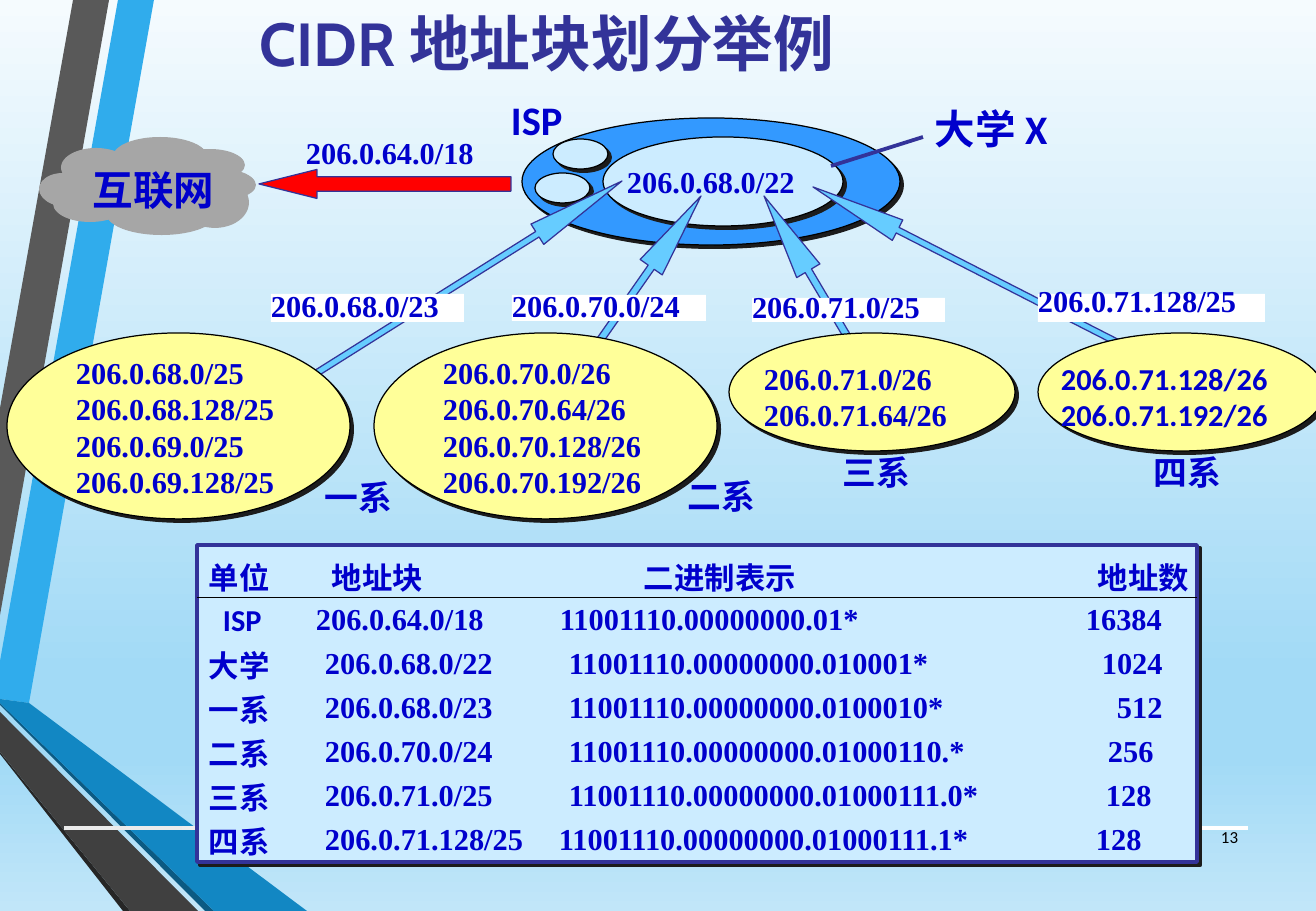
import math
from itertools import pairwise

from pptx import Presentation
from pptx import util as u
from pptx.dml.color import RGBColor
from pptx.enum import shapes, text
from pptx.oxml import parse_xml
from pptx.oxml.ns import nsdecls, qn

PX = 914400 / 121.5
KIND = shapes.MSO_SHAPE
SERIF, SANS = "Times New Roman", "Calibri"

BLACK, WHITE = RGBColor(0, 0, 0), RGBColor(255, 255, 255)
INK = RGBColor(0x00, 0x00, 0xCC)
NAVY = RGBColor(0x33, 0x33, 0x99)
PALE = RGBColor(0xCC, 0xEC, 0xFF)
RING = RGBColor(0x33, 0x99, 0xFF)
SKY = RGBColor(0x66, 0xCC, 0xFF)
YELLOW = RGBColor(0xFF, 0xFF, 0x99)
GREY = RGBColor(0xA6, 0xA6, 0xA6)
RED = RGBColor(0xFF, 0, 0)
SILVER = RGBColor(0xEB, 0xEB, 0xEB)

BACKDROP = [(0, "F5FBFE"), (74, "A2DAF6"), (83, "A2DAF6"), (100, "C1E6F9")]
RIBBONS = [
    ("30ACEC", [(0, 661), (0, 699), (29, 703), (154, 0), (118, 0)]),
    ("595959", [(109, 0), (73, 0), (0, 408), (0, 615)]),
    ("262626", [(0, 752), (0, 754), (123, 911), (130, 911)]),
    ("0C5A82", [(0, 703), (0, 705), (205, 911), (214, 911)]),
    ("1287C3", [(0, 703), (214, 911), (307, 911), (29, 703), (0, 699)]),
    ("404040", [(0, 752), (130, 911), (198, 911), (0, 712)]),
]
CLOUD = [
    (113, 137, 94, 39), (61, 148, 70, 39), (39, 173, 47, 32),
    (53, 187, 72, 34), (106, 193, 109, 41), (176, 149, 68, 30),
    (187, 169, 68, 30), (180, 176, 68, 51), (78, 160, 140, 51),
]
CAMPUS = [
    ((522, 118, 378, 127), RING), ((603, 137, 240, 89), PALE),
    ((535, 173, 55, 30), PALE), ((553, 139, 55, 30), PALE),
]
# Uplinks: foot, tip, thickness, head length
UPLINKS = [
    ((1134, 351), (813, 187), 23, 95), ((296, 386), (622, 181), 24, 100),
    ((538, 429), (701, 196), 27, 87), ((909, 441), (764, 196), 27, 87),
]
# Departments: oval, left and top of the address list, font, addresses
DEPARTMENTS = [
    ((7, 333, 343, 186), (64, 348), SERIF,
     ["206.0.68.0/25", "206.0.68.128/25", "206.0.69.0/25", "206.0.69.128/25"]),
    ((374, 333, 343, 186), (431, 348), SERIF,
     ["206.0.70.0/26", "206.0.70.64/26", "206.0.70.128/26", "206.0.70.192/26"]),
    ((729, 333, 286, 118), (752, 354), SERIF, ["206.0.71.0/26", "206.0.71.64/26"]),
    ((1038, 333, 286, 118), (1049, 354), SANS, ["206.0.71.128/26", "206.0.71.192/26"]),
]
# Uplink labels: text, white box, how far the text sits above its middle
LABELS = [
    ("206.0.68.0/23", (271, 294, 193, 28), 3), ("206.0.70.0/24", (512, 295, 194, 26), 3),
    ("206.0.71.0/25", (752, 298, 193, 24), 4), ("206.0.71.128/25", (1038, 294, 227, 28), 8),
]
# Captions: text, left, top, width, size, font
CAPTIONS = [
    ("互联网", 81, 159, 148, 24, SANS), ("ISP", 499, 89, 90, 24, SANS),
    ("大学 X", 923, 98, 170, 24, SANS),
    ("206.0.68.0/22", 615, 157, 210, 18, SERIF), ("206.0.64.0/18", 294, 128, 210, 18, SERIF),
    ("一系", 313, 471, 110, 20, SANS), ("二系", 676, 470, 110, 20, SANS),
    ("三系", 831, 446, 110, 20, SANS), ("四系", 1142, 446, 110, 20, SANS),
]
# Address table: column edges, then each row with where its texts start
EDGES = (197, 298, 540, 1027, 1197)
TABLE_TOP, HEAD_HEIGHT, ROW_HEIGHT = 545, 53, 44
ROWS = [
    (("单位", "地址块", "二进制表示", "地址数"), (209, 332, 644, 1098)),
    (("ISP", "206.0.64.0/18", "11001110.00000000.01*", "16384"), (223, 316, 560, 1086)),
    (("大学", "206.0.68.0/22", "11001110.00000000.010001*", "1024"), (209, 325, 569, 1102)),
    (("一系", "206.0.68.0/23", "11001110.00000000.0100010*", "512"), (209, 325, 569, 1117)),
    (("二系", "206.0.70.0/24", "11001110.00000000.01000110.*", "256"), (209, 325, 569, 1108)),
    (("三系", "206.0.71.0/25", "11001110.00000000.01000111.0*", "128"), (209, 325, 569, 1106)),
    (("四系", "206.0.71.128/25", "11001110.00000000.01000111.1*", "128"), (209, 325, 559, 1096)),
]


def emu(*lengths):
    return [u.Emu(round(length * PX)) for length in lengths]


def write(frame, lines, size, font, color=INK, bold=True, align=text.PP_ALIGN.LEFT):
    frame.text = "\n".join(lines)
    for para in frame.paragraphs:
        para.alignment = align
        for span in para.runs:
            span.font.size, span.font.name = u.Pt(size), font
            span.font.bold, span.font.color.rgb = bold, color


def paint(shape, fill, line=None, weight=0.75, shadow=False):
    shape.shadow.inherit = False
    shape.fill.solid()
    shape.fill.fore_color.rgb = fill
    if line is None:
        shape.line.fill.background()
    else:
        shape.line.color.rgb, shape.line.width = line, u.Pt(weight)
    if shadow:
        shape.element.spPr.find(qn("a:effectLst")).append(parse_xml(
            f'<a:outerShdw {nsdecls("a")} dist="35921" dir="2700000" algn="ctr" '
            'rotWithShape="0"><a:srgbClr val="1C1C1C"/></a:outerShdw>'))


def add(page, kind, place, *style, **options):
    shape = page.shapes.add_shape(kind, *emu(*place))
    paint(shape, *style, **options)
    return shape


def add_text(page, lines, place, size, font, **options):
    box = page.shapes.add_textbox(*emu(*place))
    box.text_frame.word_wrap = True
    write(box.text_frame, lines, size, font, **options)


def add_arrow(page, foot, tip, thickness, head, shaft, fill):
    length = math.dist(foot, tip)
    left = (foot[0] + tip[0] - length) / 2
    top = (foot[1] + tip[1] - thickness) / 2
    arrow = add(page, KIND.LEFT_ARROW, (left, top, length, thickness), fill, NAVY)
    arrow.rotation = math.degrees(math.atan2(foot[1] - tip[1], foot[0] - tip[0]))
    arrow.adjustments[0], arrow.adjustments[1] = shaft, head / thickness


def set_borders(cell, shown):
    for index, side in enumerate(("lnL", "lnR", "lnT", "lnB")):
        fill = '<a:solidFill><a:srgbClr val="000000"/></a:solidFill>' if side in shown else "<a:noFill/>"
        cell._tc.get_or_add_tcPr().insert(index, parse_xml(
            f'<a:{side} {nsdecls("a")} w="9525">{fill}</a:{side}>'))


def add_address_table(page):
    height = HEAD_HEIGHT + ROW_HEIGHT * (len(ROWS) - 1)
    place = EDGES[0], TABLE_TOP, EDGES[-1] - EDGES[0], height
    add(page, KIND.RECTANGLE, place, PALE, NAVY, 2.25, shadow=True)
    table = page.shapes.add_table(len(ROWS), len(EDGES) - 1, *emu(*place)).table
    table.first_row = table.horz_banding = False
    for column, (left, right) in zip(table.columns, pairwise(EDGES)):
        column.width = emu(right - left)[0]
    for r, (values, starts) in enumerate(ROWS):
        table.rows[r].height = emu(ROW_HEIGHT if r else HEAD_HEIGHT)[0]
        for c, (value, start) in enumerate(zip(values, starts)):
            cell = table.cell(r, c)
            cell.margin_left = emu(start - EDGES[c])[0]
            cell.margin_right = cell.margin_bottom = 0
            cell.margin_top = emu(3 if r else 12)[0]
            cell.vertical_anchor = text.MSO_ANCHOR.MIDDLE
            write(cell.text_frame, [value], 18, SERIF if r and c else SANS)
            cell.text_frame.paragraphs[0].line_spacing = 0.9
            cell.fill.background()
            inner = ["lnR"] if c < len(values) - 1 else []
            set_borders(cell, inner + (["lnT"] if r == 1 else [] if r else ["lnB"]))


def main():
    deck = Presentation()
    deck.slide_width, deck.slide_height = emu(1316, 911)
    page = deck.slides.add_slide(deck.slide_layouts[5])

    # Backdrop, ribbons and footer rule
    stops = "".join(f'<a:gs pos="{pos * 1000}"><a:srgbClr val="{color}"/></a:gs>' for pos, color in BACKDROP)
    page.element.cSld.insert(0, parse_xml(
        f'<p:bg {nsdecls("p", "a")}><p:bgPr><a:gradFill><a:gsLst>{stops}</a:gsLst>'
        '<a:lin ang="5400000" scaled="0"/></a:gradFill><a:effectLst/></p:bgPr></p:bg>'))
    for color, points in RIBBONS:
        outline = page.shapes.build_freeform(*points[0], scale=PX)
        outline.add_line_segments(points[1:], close=True)
        paint(outline.convert_to_shape(), RGBColor.from_string(color))
    rule = add(page, KIND.RECTANGLE, (64, 826, 1184, 4), WHITE)
    rule.fill.gradient()
    rule.fill.gradient_angle = 0
    for stop, color in zip(rule.fill.gradient_stops, (SILVER, WHITE)):
        stop.color.rgb = color

    # Title
    title = page.shapes.title
    title.left, title.top, title.width, title.height = emu(87, -4, 920, 92)
    title.text_frame.vertical_anchor = text.MSO_ANCHOR.MIDDLE
    write(title.text_frame, ["CIDR 地址块划分举例"], 36, "Cabin", NAVY, align=text.PP_ALIGN.CENTER)

    # Internet cloud, campus network and the link between them
    for shift in (1, 0):
        for left, top, width, height in CLOUD:
            add(page, KIND.OVAL, (left + shift, top + shift, width, height), GREY)
    for place, color in CAMPUS:
        add(page, KIND.OVAL, place, color, BLACK, shadow=True)
    add_arrow(page, (511, 184), (259, 184), 29, 58, 0.5, RED)
    pointer = page.shapes.add_connector(shapes.MSO_CONNECTOR.STRAIGHT, *emu(831, 166, 923, 137))
    pointer.line.color.rgb, pointer.line.width = NAVY, u.Pt(2.25)
    pointer.element.spPr.append(parse_xml(f'<a:effectLst {nsdecls("a")}/>'))

    # Departments with their uplinks
    for foot, tip, thickness, head in UPLINKS:
        add_arrow(page, foot, tip, thickness, head, 0.27, SKY)
    for oval, (left, top), font, addresses in DEPARTMENTS:
        add(page, KIND.OVAL, oval, YELLOW, BLACK, shadow=True)
        add_text(page, addresses, (left, top, 260, 12 + 37 * len(addresses)), 18, font)
    for label, place, lift in LABELS:
        frame = add(page, KIND.RECTANGLE, place, WHITE).text_frame
        frame.margin_left = frame.margin_right = frame.margin_top = 0
        frame.margin_bottom = emu(2 * lift)[0]
        frame.word_wrap, frame.vertical_anchor = True, text.MSO_ANCHOR.MIDDLE
        write(frame, [label], 18, SERIF)
    for caption, left, top, width, size, font in CAPTIONS:
        add_text(page, [caption], (left, top, width, 2 * size + 12), size, font)

    # Address table and page number
    add_address_table(page)
    add_text(page, ["13"], (1190, 821, 60, 36), 10, SANS, color=BLACK, bold=False, align=text.PP_ALIGN.RIGHT)

    deck.save("out.pptx")


if __name__ == "__main__":
    main()
